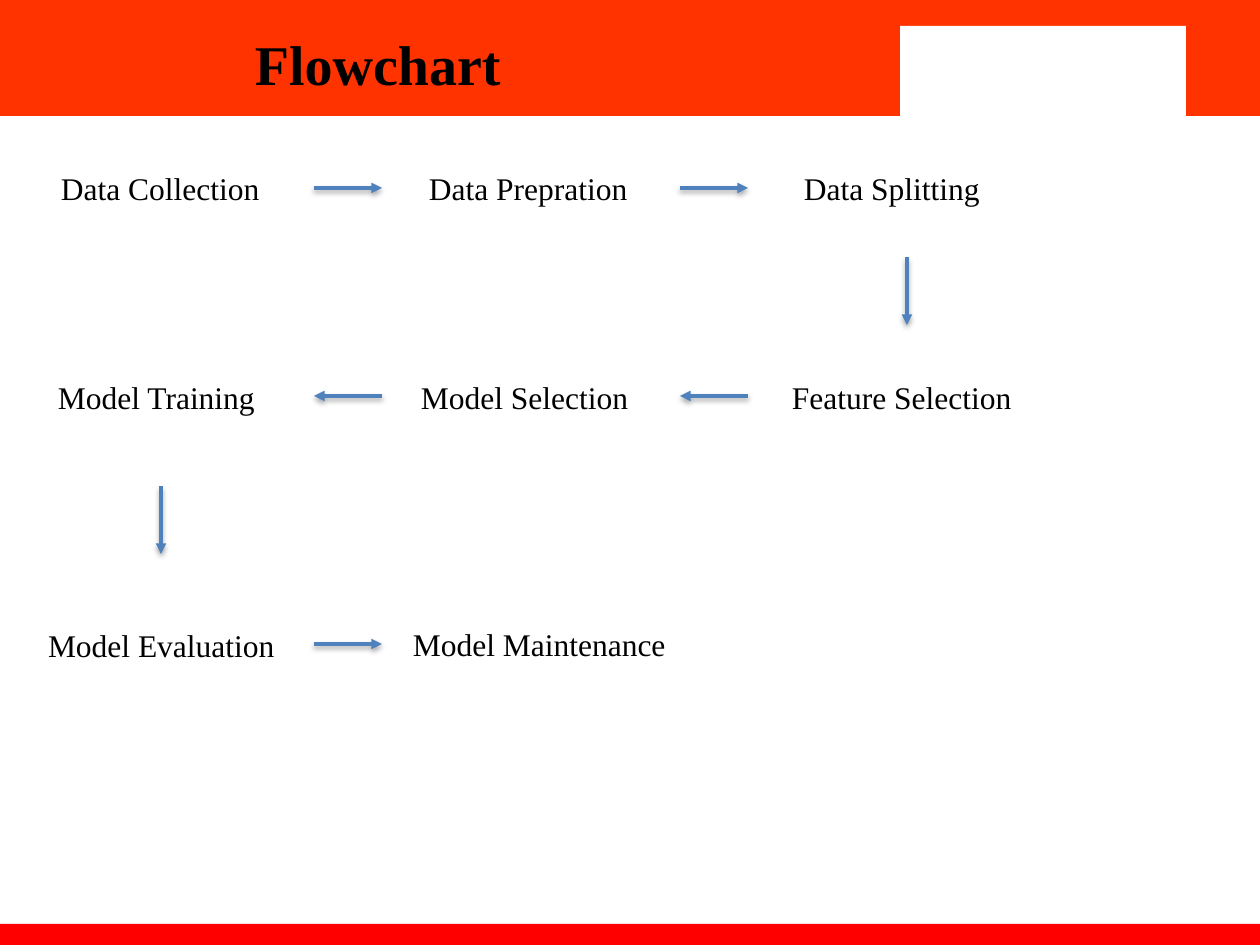
from dataclasses import dataclass

from lxml import etree
from pptx import Presentation
from pptx import util as u
from pptx.dml.color import RGBColor
from pptx.enum import shapes, text
from pptx.oxml import parse_xml
from pptx.oxml.ns import nsdecls, qn

EMU_PER_PX = 914400 / 126


@dataclass(frozen=True)
class Theme:
    font: str = "Times New Roman"
    title_size: int = 32
    step_size: int = 18
    ink: str = "000000"
    paper: str = "FFFFFF"
    header: str = "FF3300"
    footer: str = "FF0000"
    arrow: str = "4F81BD"
    arrow_width: int = 2


THEME = Theme()
INSET = 6
ARROW_LENGTH = 68
ROWS = (163, 372, 620)  # tops of the three rows of steps
ARROW_ROWS = (188, 396, 644)
ARROW_LEFT, ARROW_RIGHT = 314, 680  # gaps between the columns

BANDS = [
    (0, 0, 1260, 116, THEME.header),
    (0, 924, 1260, 27, THEME.footer),
    (900, 26, 286, 95, THEME.paper),
]

STEPS = [
    ("Data Collection", 55, ROWS[0], 213),
    ("Data Prepration", 423, ROWS[0], 213),
    ("Data Splitting", 798, ROWS[0], 190),
    ("Feature Selection", 786, ROWS[1], 242),
    ("Model Selection", 415, ROWS[1], 229),
    ("Model Training", 52, ROWS[1], 219),
    ("Model Evaluation", 42, ROWS[2], 248),
    ("Model Maintenance", 407, ROWS[2] - 1, 275),
]

# start x, start y, direction
ARROWS = [
    (ARROW_LEFT, ARROW_ROWS[0], (1, 0)),
    (ARROW_RIGHT, ARROW_ROWS[0], (1, 0)),
    (907, 257, (0, 1)),
    (ARROW_RIGHT + ARROW_LENGTH, ARROW_ROWS[1], (-1, 0)),
    (ARROW_LEFT + ARROW_LENGTH, ARROW_ROWS[1], (-1, 0)),
    (161, 486, (0, 1)),
    (ARROW_LEFT, ARROW_ROWS[2], (1, 0)),
]

SHADOW = (
    f'<a:effectLst {nsdecls("a")}>'
    '<a:outerShdw blurRad="38100" dist="22860" dir="5400000" rotWithShape="0">'
    '<a:srgbClr val="000000"><a:alpha val="35000"/></a:srgbClr>'
    "</a:outerShdw></a:effectLst>"
)


def px(*lengths):
    return [u.Emu(round(n * EMU_PER_PX)) for n in lengths]


def rgb(value):
    return RGBColor.from_string(value)


def write(sp, content, *, size, bold=False, align=text.PP_ALIGN.LEFT,
          anchor=text.MSO_ANCHOR.TOP, wrap=True, fit=text.MSO_AUTO_SIZE.NONE):
    tf = sp.text_frame
    tf.word_wrap = wrap
    tf.auto_size = fit
    tf.vertical_anchor = anchor
    tf.margin_left, tf.margin_top, tf.margin_right, tf.margin_bottom = px(*[INSET] * 4)
    p = tf.paragraphs[0]
    p.alignment = align
    r = p.add_run()
    r.text = content
    r.font.name = THEME.font
    r.font.size = u.Pt(size)
    r.font.bold = bold
    r.font.color.rgb = rgb(THEME.ink)


def add_band(slide, left, top, width, height, color):
    sp = slide.shapes.add_shape(
        shapes.MSO_SHAPE.RECTANGLE, *px(left, top, width, height))
    sp.shadow.inherit = False
    sp.fill.solid()
    sp.fill.fore_color.rgb = rgb(color)
    sp.line.fill.background()


def set_title(slide, content):
    """Fill the title placeholder and bring it in front of the header band."""
    sp = slide.shapes.title
    sp.left, sp.top, sp.width, sp.height = px(0, 0, 756, 126)
    write(sp, content, size=THEME.title_size, bold=True,
          align=text.PP_ALIGN.CENTER, anchor=text.MSO_ANCHOR.MIDDLE)
    sp.element.getparent().append(sp.element)


def add_step(slide, content, left, top, width):
    sp = slide.shapes.add_textbox(*px(left, top, width, 48))
    write(sp, content, size=THEME.step_size, wrap=False,
          fit=text.MSO_AUTO_SIZE.SHAPE_TO_FIT_TEXT)


def add_arrow(slide, x, y, direction):
    dx, dy = (ARROW_LENGTH * d for d in direction)
    line = slide.shapes.add_connector(
        shapes.MSO_CONNECTOR.STRAIGHT, *px(x, y, x + dx, y + dy))
    line.line.color.rgb = rgb(THEME.arrow)
    line.line.width = u.Pt(THEME.arrow_width)
    etree.SubElement(line.line._get_or_add_ln(), qn("a:tailEnd"), type="triangle")
    line.element.spPr.append(parse_xml(SHADOW))


def main():
    prs = Presentation()
    prs.slide_width, prs.slide_height = px(1260, 945)
    slide = prs.slides.add_slide(prs.slide_layouts.get_by_name("Title Only"))
    for band in BANDS:
        add_band(slide, *band)
    set_title(slide, "Flowchart")
    for step in STEPS:
        add_step(slide, *step)
    for arrow in ARROWS:
        add_arrow(slide, *arrow)
    prs.save("out.pptx")


if __name__ == "__main__":
    main()
